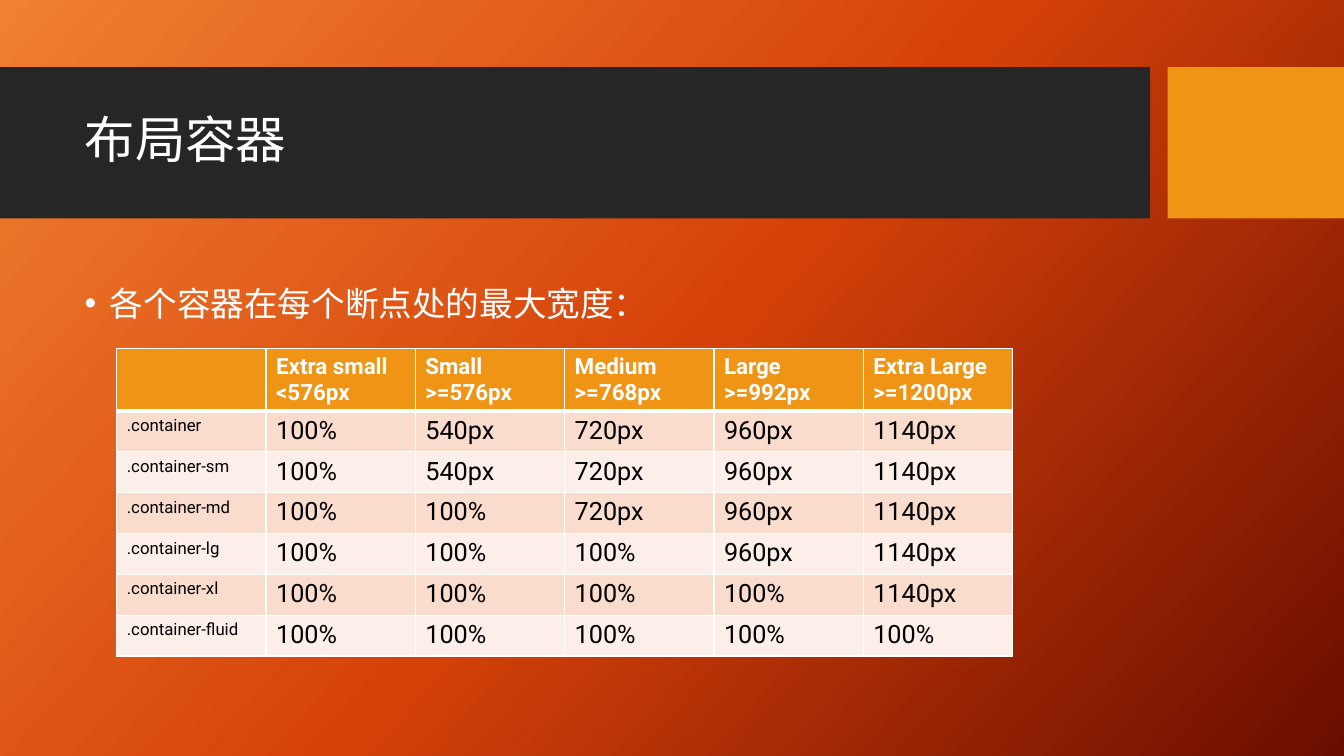
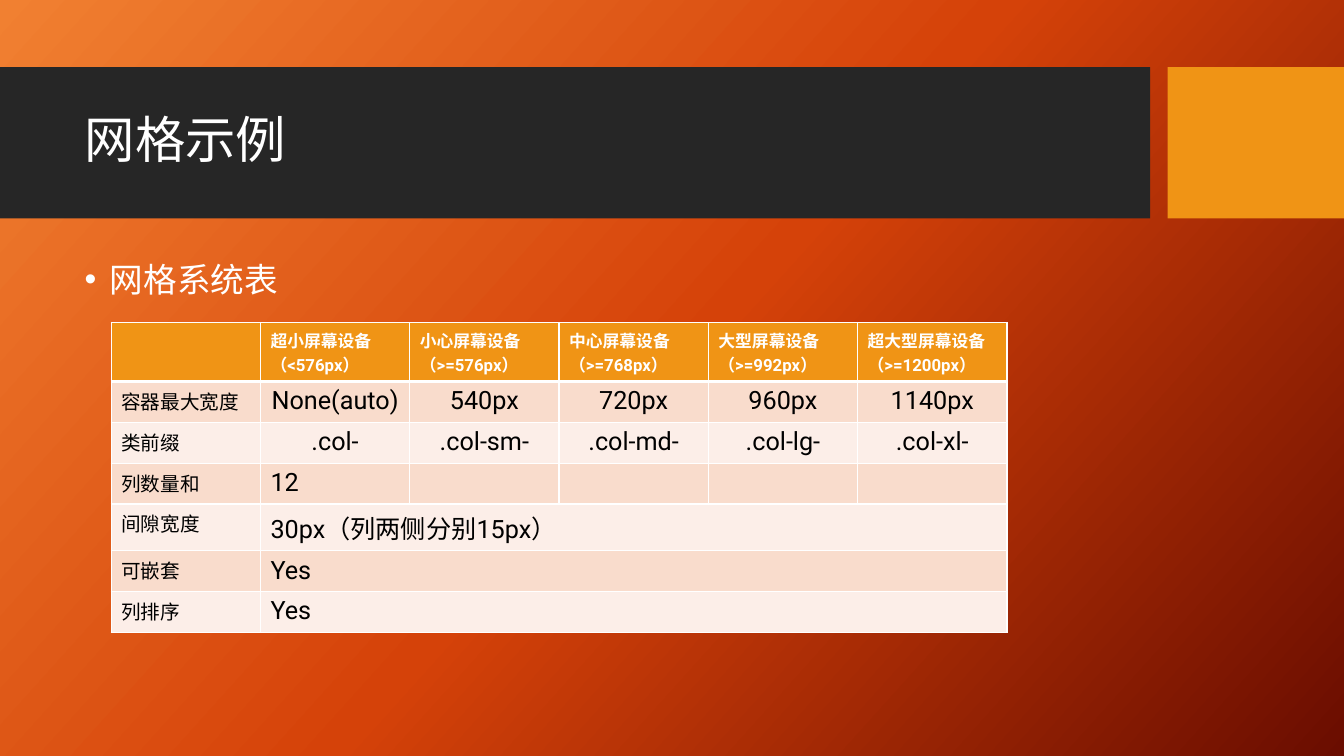
from lxml import etree
from pptx import Presentation
from pptx.dml.color import RGBColor
from pptx.enum.shapes import MSO_SHAPE
from pptx.enum.text import MSO_ANCHOR, PP_ALIGN
from pptx.oxml.ns import qn
from pptx.util import Pt

# Shared look
RECTANGLE = MSO_SHAPE.RECTANGLE
MIDDLE, TOP = MSO_ANCHOR.MIDDLE, MSO_ANCHOR.TOP
LEFT, CENTER = PP_ALIGN.LEFT, PP_ALIGN.CENTER
FONT = "Roboto"
WHITE, BLACK, DARK, ORANGE = "FFFFFF", "000000", "262626", "F09415"
ROW_FILLS = ("F9DCCC", "FCEEE8")
BACKDROP = ((0, "F18031"), (50, "D54209"), (100, "6A0D00"))
BACKDROP_ANGLE = 42
BANDS = ((0, 821.5, DARK), (834, 126, ORANGE))
BAND_TOP, BAND_HEIGHT = 48, 108
PLACEHOLDER_BOXES = {0: (53.3, 59, 757, 85), 1: (53.3, 184.3, 757, 283.7)}
TABLE_WIDTH, ROW_HEIGHT = 640, 29.2
VALUE_SIZE = 18

# Table contents; a short row stretches its last cell to the right edge
CONTAINER_ROWS = [
    ["", "Extra small\n<576px", "Small\n>=576px", "Medium\n>=768px",
     "Large\n>=992px", "Extra Large\n>=1200px"],
    [".container", "100%", "540px", "720px", "960px", "1140px"],
    [".container-sm", "100%", "540px", "720px", "960px", "1140px"],
    [".container-md", "100%", "100%", "720px", "960px", "1140px"],
    [".container-lg", "100%", "100%", "100%", "960px", "1140px"],
    [".container-xl", "100%", "100%", "100%", "100%", "1140px"],
    [".container-fluid", "100%", "100%", "100%", "100%", "100%"],
]
GRID_ROWS = [
    ["", "超小屏幕设备（<576px）", "小心屏幕设备（>=576px）", "中心屏幕设备（>=768px）",
     "大型屏幕设备（>=992px）", "超大型屏幕设备（>=1200px）"],
    ["容器最大宽度", "None(auto)", "540px", "720px", "960px", "1140px"],
    ["类前缀", ".col-", ".col-sm-", ".col-md-", ".col-lg-", ".col-xl-"],
    ["列数量和", "12", "", "", "", ""],
    ["间隙宽度", "30px（列两侧分别15px）"],
    ["可嵌套", "Yes"],
    ["列排序", "Yes"],
]


def rgb(color):
    return RGBColor.from_string(color)


def add_solid_fill(parent, color):
    solid = etree.SubElement(parent, qn("a:solidFill"))
    etree.SubElement(solid, qn("a:srgbClr"), val=color)


def add_run(paragraph, text, size, color, bold=False):
    run = paragraph.add_run()
    run.text = text
    run.font.name = FONT
    run.font.size = Pt(size)
    run.font.bold = bold
    run.font.color.rgb = rgb(color)


# Layout: gradient, bands and placeholder positions
def paint_backdrop(layout):
    fill = layout.background.fill
    fill.gradient()
    fill.gradient_angle = 360 - BACKDROP_ANGLE
    stops = layout.element.find(".//" + qn("a:gsLst"))
    for stop in list(stops):
        stops.remove(stop)
    for percent, color in BACKDROP:
        stop = etree.SubElement(stops, qn("a:gs"), pos=str(percent * 1000))
        etree.SubElement(stop, qn("a:srgbClr"), val=color)


def add_bands(layout, slide):
    """Draw the bands on a slide, then move them into its layout."""
    for index, (left, width, color) in enumerate(BANDS):
        band = slide.shapes.add_shape(
            RECTANGLE, Pt(left), Pt(BAND_TOP), Pt(width), Pt(BAND_HEIGHT))
        band.shadow.inherit = False
        band.fill.solid()
        band.fill.fore_color.rgb = rgb(color)
        band.line.fill.background()
        band.element.nvSpPr.cNvPr.set("id", str(20 + index))
        layout.shapes.element.insert(2 + index, band.element)


def place_placeholders(layout):
    for holder in layout.placeholders:
        box = PLACEHOLDER_BOXES.get(holder.placeholder_format.idx)
        if box:
            holder.left, holder.top, holder.width, holder.height = map(Pt, box)


# Slide text
def set_title(slide, text):
    frame = slide.shapes.title.text_frame
    frame.vertical_anchor = MIDDLE
    heading = frame.paragraphs[0]
    heading.alignment = LEFT
    heading.line_spacing = 0.9
    add_run(heading, text, 36, WHITE)


def set_bullet(slide, text, line_spacing):
    frame = slide.placeholders[1].text_frame
    frame.vertical_anchor = TOP
    bullet = frame.paragraphs[0]
    properties = bullet._p.get_or_add_pPr()
    properties.set("marL", str(Pt(18)))
    properties.set("indent", str(Pt(-18)))
    bullet.line_spacing = line_spacing
    bullet.space_before = Pt(0)
    add_run(bullet, text, 24, WHITE)


# Tables
def set_borders(cell, top, bottom):
    properties = cell._tc.get_or_add_tcPr()
    widths = {"a:lnL": 1, "a:lnR": 1, "a:lnT": top, "a:lnB": bottom}
    for index, (side, width) in enumerate(widths.items()):
        border = etree.Element(qn(side), w=str(Pt(width)))
        add_solid_fill(border, WHITE)
        properties.insert(index, border)


def fill_cell(cell, text, size, color, bold, alignment):
    frame = cell.text_frame
    for index, line in enumerate(text.split("\n") if text else []):
        paragraph = frame.add_paragraph() if index else frame.paragraphs[0]
        paragraph.alignment = alignment
        add_run(paragraph, line, size, color, bold)


def add_grid(slide, rows, left, top, header_height, header_size, label_size,
             centered_rows=()):
    columns = len(rows[0])
    height = header_height + ROW_HEIGHT * (len(rows) - 1)
    table = slide.shapes.add_table(
        len(rows), columns, Pt(left), Pt(top), Pt(TABLE_WIDTH), Pt(height)).table
    for column in table.columns:
        column.width = Pt(TABLE_WIDTH / columns)

    for r, texts in enumerate(rows):
        header = r == 0
        table.rows[r].height = Pt(header_height if header else ROW_HEIGHT)
        for c in range(columns):
            cell = table.cell(r, c)
            cell.fill.solid()
            cell.fill.fore_color.rgb = rgb(
                ORANGE if header else ROW_FILLS[(r - 1) % 2])
            set_borders(cell, 3 if r == 1 else 1, 3 if header else 1)
        if len(texts) < columns:
            table.cell(r, len(texts) - 1).merge(table.cell(r, columns - 1))
        for c, text in enumerate(texts):
            size = header_size if header else VALUE_SIZE if c else label_size
            fill_cell(table.cell(r, c), text, size, WHITE if header else BLACK,
                      header, CENTER if c and r in centered_rows else LEFT)


def main():
    prs = Presentation()
    prs.slide_width, prs.slide_height = Pt(960), Pt(540)
    layout = prs.slide_layouts[1]
    containers = prs.slides.add_slide(layout)
    grid_example = prs.slides.add_slide(layout)

    paint_backdrop(layout)
    add_bands(layout, containers)
    place_placeholders(layout)

    # Layout containers
    set_title(containers, "布局容器")
    set_bullet(containers, "各个容器在每个断点处的最大宽度：", 1.5)
    add_grid(containers, CONTAINER_ROWS, 83.4, 249, 44, 16, 12)

    # Grid example
    set_title(grid_example, "网格示例")
    set_bullet(grid_example, "网格系统表", 0.9)
    add_grid(grid_example, GRID_ROWS, 79.4, 230.4, 42, 12, 14,
             centered_rows=(1, 2))

    prs.save("out.pptx")


if __name__ == "__main__":
    main()
